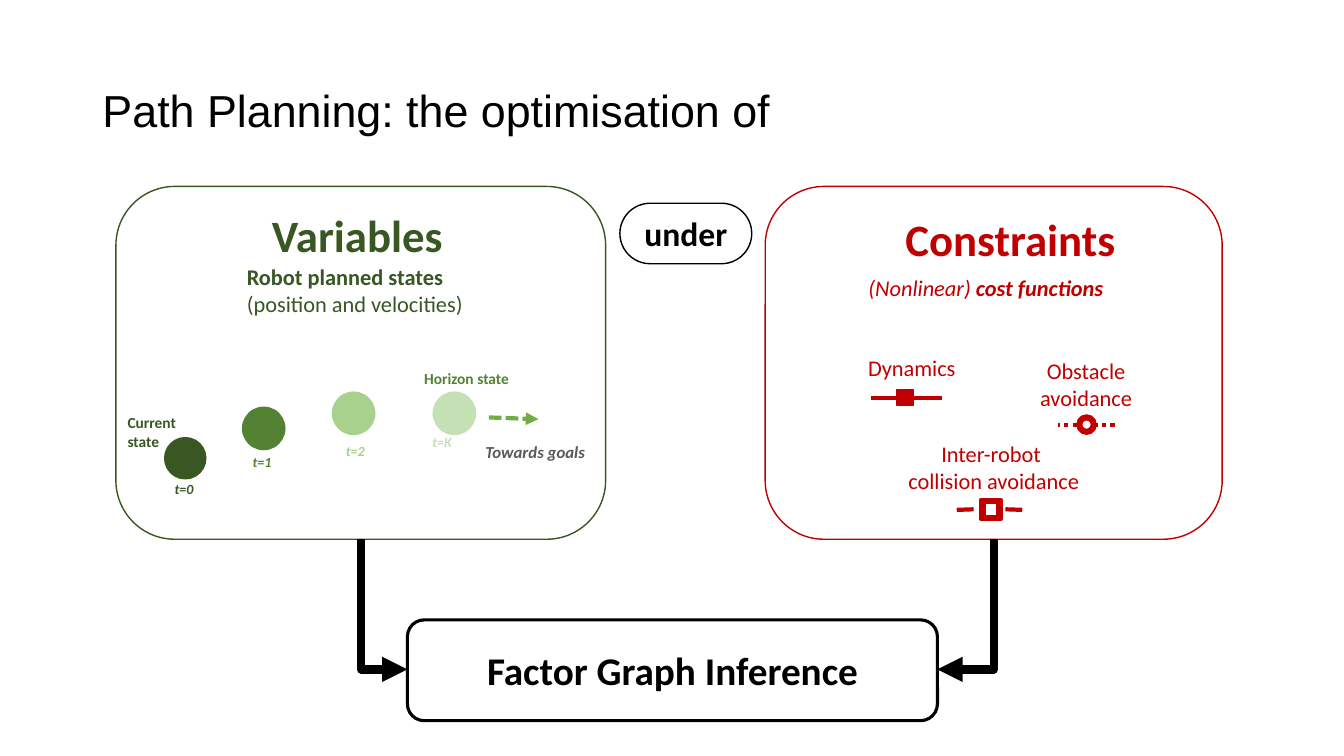
import lxml.etree
import pptx
import pptx.util
import pptx.dml.color
import pptx.enum.dml
import pptx.enum.shapes
import pptx.enum.text
import pptx.oxml.ns

COLOURS = {
    "black": "000000", "grey": "595959", "red": "C00000", "arrow": "70AD47",
    "forest": "385723", "green": "548235", "light": "A9D18E", "pale": "C5E0B4",
}
SHAPE = pptx.enum.shapes.MSO_SHAPE
LINK = pptx.enum.shapes.MSO_CONNECTOR
DASH = pptx.enum.dml.MSO_LINE
ALIGN = pptx.enum.text.PP_ALIGN
ANCHOR = pptx.enum.text.MSO_ANCHOR
COLUMNS, ROWS = 160, 90


class Board:
    def __init__(self, deck):
        self.slide = deck.slides.add_slide(deck.slide_layouts[5])
        self.column = deck.slide_width / COLUMNS
        self.row = deck.slide_height / ROWS

    def place(self, x, y):
        return round(x * self.column), round(y * self.row)

    def colour(self, name):
        return pptx.dml.color.RGBColor.from_string(COLOURS[name])

    def set_text(self, frame, runs, size, colour, bold=False, italic=False,
                 align=ALIGN.CENTER, face="Calibri"):
        paragraph = frame.paragraphs[0]
        paragraph.alignment = align
        font = paragraph.font
        font.name, font.size = face, pptx.util.Pt(size)
        font.bold, font.italic = bold, italic
        font.color.rgb = self.colour(colour)
        for words, strong in runs:
            for index, part in enumerate(words.split("\n")):
                if index:
                    paragraph.add_line_break()
                run = paragraph.add_run()
                run.text = part
                if strong != bold:
                    run.font.bold = strong
        return paragraph

    def title(self, words, box, size):
        heading = self.slide.shapes.title
        heading.left, heading.top = self.place(*box[:2])
        heading.width, heading.height = self.place(*box[2:])
        heading.text_frame.vertical_anchor = ANCHOR.MIDDLE
        paragraph = self.set_text(heading.text_frame, [(words, False)], size, "black",
                                  align=ALIGN.LEFT, face="Arial")
        paragraph.line_spacing = 0.9

    def label(self, runs, box, size, colour, wrap=False, **style):
        if isinstance(runs, str):
            runs = [(runs, style.get("bold", False))]
        frame = self.slide.shapes.add_textbox(*self.place(*box[:2]), *self.place(*box[2:])).text_frame
        frame.word_wrap = wrap
        frame.auto_size = pptx.enum.text.MSO_AUTO_SIZE.SHAPE_TO_FIT_TEXT
        self.set_text(frame, runs, size, colour, **style)

    def shape(self, kind, box, fill=None, line=None, width=1, corner=None):
        item = self.slide.shapes.add_shape(kind, *self.place(*box[:2]), *self.place(*box[2:]))
        item.shadow.inherit = False
        if corner is not None:
            item.adjustments[0] = corner
        if fill:
            item.fill.solid()
            item.fill.fore_color.rgb = self.colour(fill)
        else:
            item.fill.background()
        if line:
            item.line.color.rgb = self.colour(line)
            item.line.width = pptx.util.Pt(width)
        else:
            item.line.fill.background()
        return item

    def caption(self, words, box, size, colour, **look):
        frame = self.shape(SHAPE.ROUNDED_RECTANGLE, box, **look).text_frame
        frame.vertical_anchor = ANCHOR.MIDDLE
        frame.word_wrap = True
        self.set_text(frame, [(words, True)], size, colour, bold=True)

    def line(self, start, end, colour, width=3, dash=None, arrow=False, kind=LINK.STRAIGHT):
        link = self.slide.shapes.add_connector(kind, *self.place(*start), *self.place(*end))
        link.line.color.rgb = self.colour(colour)
        link.line.width = pptx.util.Pt(width)
        if dash:
            link.line.dash_style = dash
        properties = link._element.spPr
        if arrow:
            stroke = properties.find(pptx.oxml.ns.qn("a:ln"))
            lxml.etree.SubElement(stroke, pptx.oxml.ns.qn("a:tailEnd"), type="triangle")
        lxml.etree.SubElement(properties, pptx.oxml.ns.qn("a:effectLst"))
        return link

    def elbow_down(self, start, end, colour, width):
        (x1, y1), (x2, y2) = start, end
        side = 1 if x2 > x1 else -1
        middle_x, middle_y = (x1 + x2) / 2, (y1 + y2) / 2
        half_drop, half_run = (y2 - y1) / 2, abs(x2 - x1) / 2
        link = self.line((middle_x + side * half_drop, middle_y - half_run),
                         (middle_x - side * half_drop, middle_y + half_run),
                         colour, width, arrow=True, kind=LINK.ELBOW)
        if side < 0:
            link.begin_x, link.end_x = self.place(middle_x - half_drop, 0)[0], self.place(middle_x + half_drop, 0)[0]
        properties = link._element.spPr
        properties.find(pptx.oxml.ns.qn("a:prstGeom")).set("prst", "bentConnector2")
        turn = 270 if side > 0 else 90
        properties.find(pptx.oxml.ns.qn("a:xfrm")).set("rot", str(turn * 60000))


def draw_variables(board):
    board.caption("Variables", (26.9, 23.3, 31.3, 9.2), 32, "forest")
    board.shape(SHAPE.ROUNDED_RECTANGLE, (13.8, 22.2, 58.3, 42), line="forest")
    board.label([("Robot planned states ", True), ("(position and velocities)", False)],
                (28.2, 30.7, 33.6, 7.7), 16, "forest", wrap=True, align=ALIGN.LEFT)
    board.line((58.2, 49.7), (64.1, 49.9), "arrow", dash=DASH.SQUARE_DOT, arrow=True)
    board.label("Towards goals", (56.6, 52, 14.5, 3.6), 12, "grey",
                bold=True, italic=True, align=ALIGN.LEFT)
    states = [
        ("t=0", "forest", (19.6, 52.1), 4.9, (19.6, 56.6)),
        ("t=1", "green", (28.8, 48.4), 5.2, (28.9, 53.4)),
        ("t=2", "light", (39.5, 46.6), 5.2, (40, 52.1)),
        ("t=K", "pale", (51.5, 46.6), 5.2, (50.3, 51)),
    ]
    for time, shade, robot, diameter, below in states:
        outline = "forest" if time == "t=0" else None
        board.shape(SHAPE.OVAL, (*robot, diameter, diameter), fill=shade, line=outline)
        board.label(time, (*below, 6.2, 4.3), 10, shade,
                    bold=True, italic=True, align=ALIGN.LEFT)
    board.label("Horizon state", (49.3, 43.3, 12.7, 3.5), 11, "green",
                bold=True, align=ALIGN.LEFT)
    board.label("Current \nstate", (14, 48.6, 8.6, 5.6), 11, "forest",
                bold=True, align=ALIGN.LEFT)


def draw_constraints(board):
    board.shape(SHAPE.ROUNDED_RECTANGLE, (91.1, 22.2, 54.4, 42), line="red")
    board.caption("Constraints", (101, 23.6, 38.6, 9.7), 32, "red")
    board.label([("(Nonlinear) ", False), ("cost functions", True)],
                (102.2, 32, 36.1, 4.4), 16, "red", wrap=True, italic=True, align=ALIGN.LEFT)
    for factor, box in [("Dynamics", (101.4, 41.6, 14.3, 4.4)),
                        ("Obstacle\navoidance", (122, 41.9, 14.6, 7.7)),
                        ("Inter-robot \ncollision avoidance", (105.8, 51.8, 25, 7.7))]:
        board.label(factor, box, 16, "red")
    for start, end, dash in [((112.1, 47.4), (103.7, 47.4), None),
                             ((128.2, 50.6), (125.9, 50.6), DASH.ROUND_DOT),
                             ((132.7, 50.6), (130.3, 50.6), DASH.ROUND_DOT),
                             ((121.7, 60.7), (118.9, 60.6), DASH.DASH),
                             ((113.9, 60.7), (116.8, 60.6), DASH.DASH)]:
        board.line(start, end, "red", dash=dash)
    board.shape(SHAPE.RECTANGLE, (106.8, 46.4, 1.9, 1.9), fill="red", line="red")
    board.shape(SHAPE.DONUT, (128.2, 49.4, 2.3, 2.3), fill="red", line="red")
    board.shape(SHAPE.FRAME, (116.8, 59.5, 2.3, 2.3), fill="black", line="red", width=3)


def main():
    deck = pptx.Presentation()
    deck.slide_width, deck.slide_height = pptx.util.Inches(13.33), pptx.util.Inches(7.5)
    board = Board(deck)
    board.title("Path Planning: the optimisation of", (11, 4.8, 123.8, 17.4), 32)
    draw_variables(board)
    board.caption("under", (73.8, 24.2, 15.7, 7.2), 24, "black", line="black", corner=0.5)
    draw_constraints(board)
    board.caption("Factor Graph Inference", (48.5, 73.8, 63.1, 12), 28, "black",
                  line="black", width=2.25)
    for panel_foot, inference_side in [(43, 48.5), (118.3, 111.6)]:
        board.elbow_down((panel_foot, 64.2), (inference_side, 79.7), "black", 6)
    deck.save("out.pptx")


if __name__ == "__main__":
    main()
